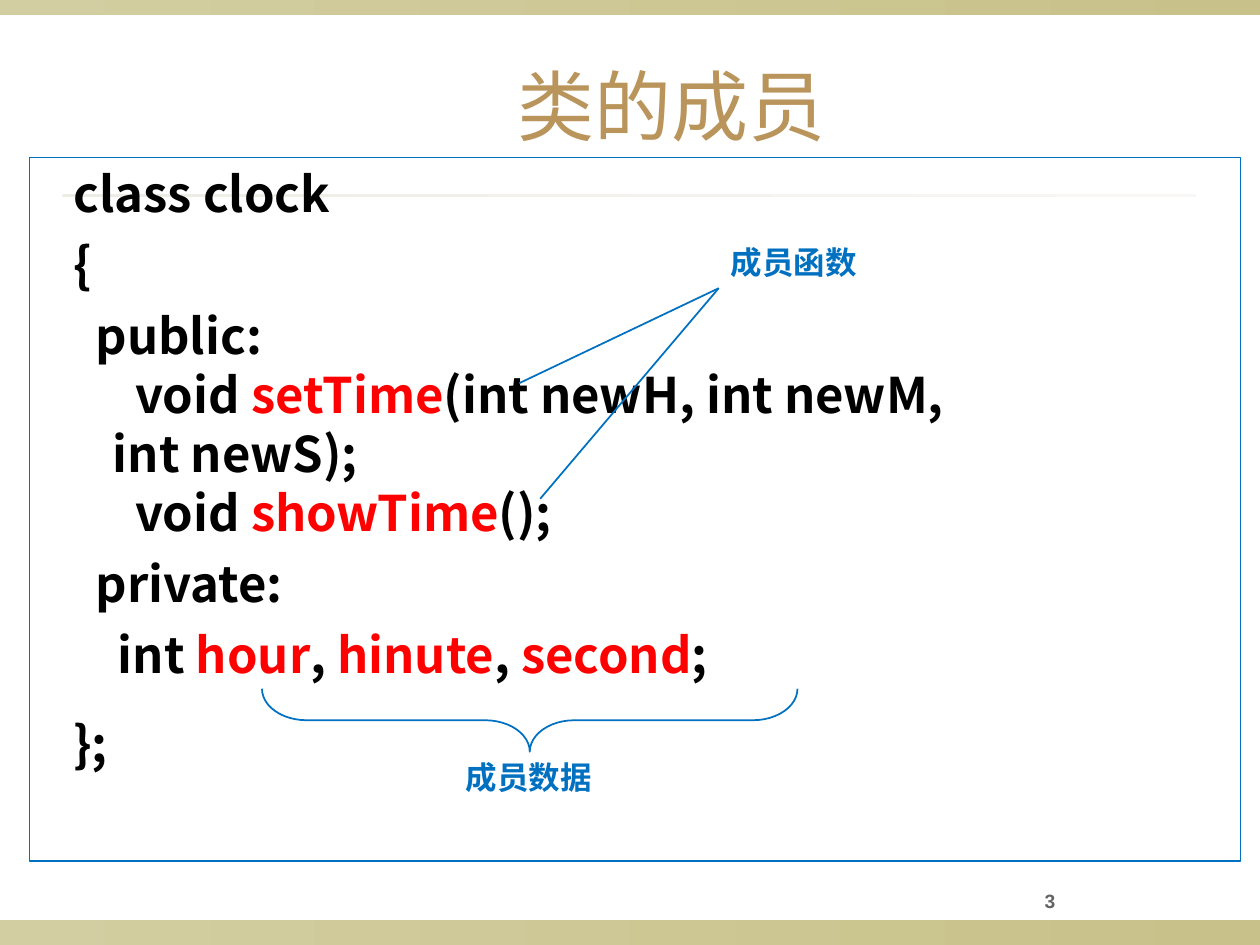
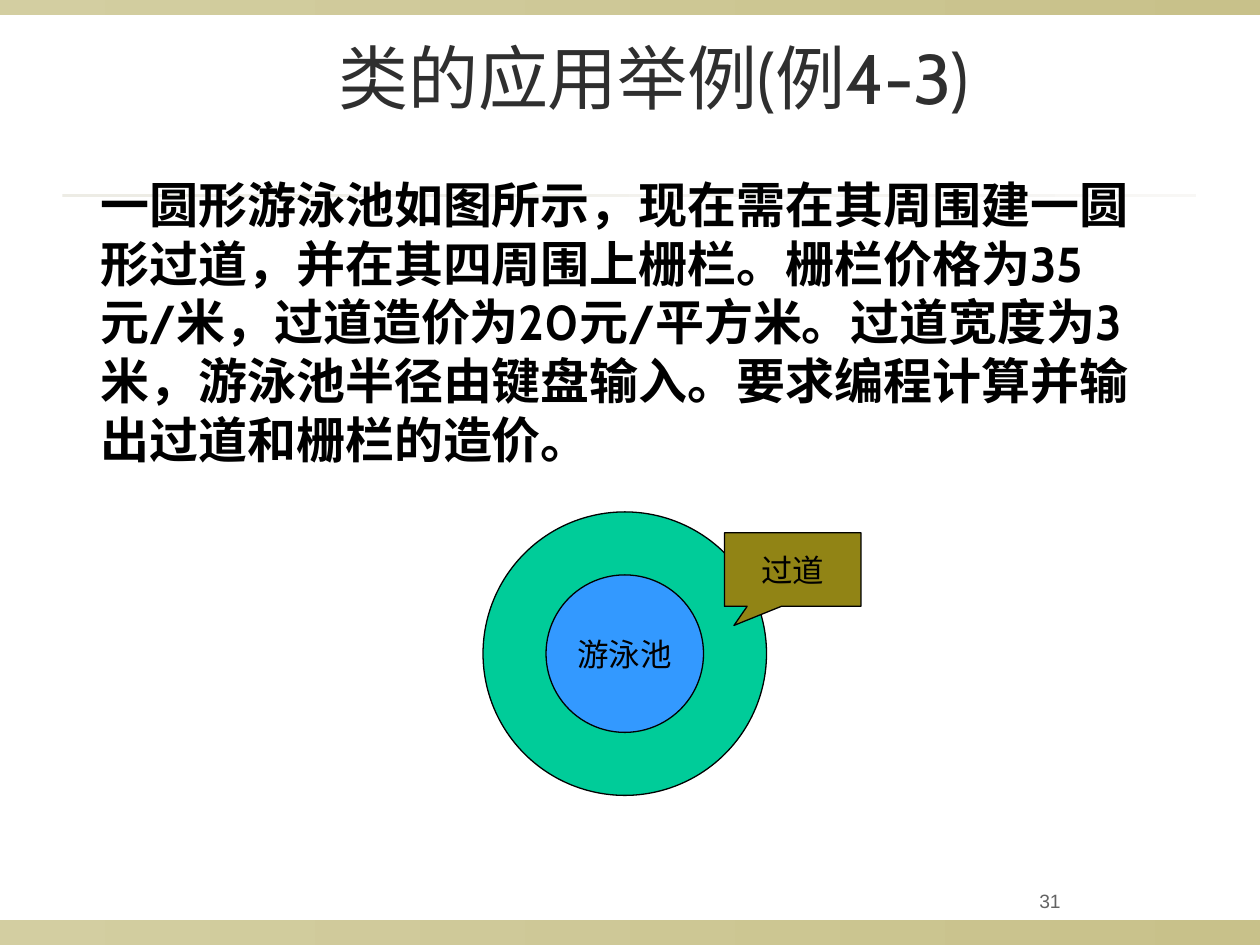
import lxml.etree
import pptx
import pptx.dml.color
import pptx.enum.shapes
import pptx.enum.text
import pptx.oxml.ns
import pptx.util

Pt = pptx.util.Pt
SHAPE = pptx.enum.shapes.MSO_SHAPE
MID, TOP = pptx.enum.text.MSO_ANCHOR.MIDDLE, pptx.enum.text.MSO_ANCHOR.TOP
LEFT, MIDST = pptx.enum.text.PP_ALIGN.LEFT, pptx.enum.text.PP_ALIGN.CENTER
HEX = {"tan": "B9945B", "dark": "2F2F2F", "grey": "636363", "black": "000000",
       "red": "FF0000", "blue": "0070C0", "pool": "3399FF", "path": "00CC99",
       "olive": "918415", "band1": "D3CEA1", "band2": "C8C18A",
       "rule1": "EDECE5", "rule2": "F8F7F5"}
RGB = {name: pptx.dml.color.RGBColor.from_string(code) for name, code in HEX.items()}
HAN = "Noto Sans CJK SC"

deck = pptx.Presentation()
deck.slide_width, deck.slide_height = pptx.util.Inches(10), pptx.util.Inches(7.5)
COL, ROW = deck.slide_width / 120, deck.slide_height / 90


def area(x, y, wide, high):
    """Turn grid columns and rows into slide lengths."""
    return [round(n * unit) for n, unit in zip((x, y, wide, high), (COL, ROW) * 2)]


def write(shape, paras, size, face, hue, bold=False, align=MIDST, anchor=MID,
          wrap=True, mark="red"):
    """Fill a shape with paragraphs; parts between bars take the mark colour."""
    frame = shape.text_frame
    look = {"word_wrap": wrap, "vertical_anchor": anchor,
            "auto_size": pptx.enum.text.MSO_AUTO_SIZE.NONE}
    for key, value in look.items():
        setattr(frame, key, value)
    for i, text in enumerate(paras):
        para = frame.paragraphs[0] if i == 0 else frame.add_paragraph()
        para.alignment = align
        for j, part in enumerate(text.split("|")):
            for k, piece in enumerate(part.split("\n")):
                if k:
                    para.add_line_break()
                run = para.add_run()
                run.text = piece
                form = {"size": Pt(size), "name": face, "bold": bold}
                for key, value in form.items():
                    setattr(run.font, key, value)
                run.font.color.rgb = RGB[mark if j % 2 else hue]
                lxml.etree.SubElement(run.font._element, pptx.oxml.ns.qn("a:ea"),
                                      typeface=HAN)
    return frame


# Bands, title and page number of both slides
bands = [((0, 87.6, 120, 2.4), "band"), ((0, 0, 120, 1.4), "band"),
         ((5.95, 18.5, 108, 0.25), "rule")]
heads = [("类的成员", (17, 3, 94, 14), 44, "tan", "3", True),
         ("类的应用举例(例4-3)", (11.25, 2.75, 102, 9), 40, "dark", "31", False)]
pages = []
for title, spot, size, hue, num, bold in heads:
    page = deck.slides.add_slide(deck.slide_layouts[5])
    pages.append(page)
    for place, tone in bands:
        band = page.shapes.add_shape(SHAPE.RECTANGLE, *area(*place))
        band.shadow.inherit = False
        band.line.fill.background()
        band.fill.gradient()
        band.fill.gradient_angle = 0
        for n, stop in enumerate(band.fill.gradient_stops, 1):
            stop.color.rgb = RGB[f"{tone}{n}"]
            stop.position = n - 1
    head = page.shapes.title
    head.left, head.top, head.width, head.height = area(*spot)
    write(head, [title], size, "Cabin", hue)
    foot = page.shapes.add_textbox(*area(86, 83.4, 28, 4.8))
    write(foot, [num], 11, "Arial", "grey", bold)

# Members of the class
first, second = pages
code = ["class clock", "{",
        "  public: \n  void |setTime|(int newH, int newM,\nint newS);\n  void |showTime|();",
        "  private:", "    int |hour|,| hinute|,| second|;", "};"]
panel = first.shapes.add_shape(SHAPE.RECTANGLE, *area(2.82, 15, 115.3, 67))
brace = first.shapes.add_shape(SHAPE.RIGHT_BRACE, *area(47.45, 43.1, 6, 51))
brace.rotation = 90
brace.adjustments[0] = 0.71
for shape, width in ((panel, 0.75), (brace, 1)):
    shape.shadow.inherit = False
    shape.fill.background()
    shape.line.color.rgb = RGB["blue"]
    shape.line.width = Pt(width)
frame = write(panel, code, 28, HAN, "black", True, LEFT, TOP)
for n, para in enumerate(frame.paragraphs):
    para._p.get_or_add_pPr().set("marL", str(round(6.75 * COL)))
    para._p.get_or_add_pPr().set("indent", str(round(-3.75 * COL)))
    if n:
        para.space_before = Pt(17.5 if n == len(code) - 1 else 7)

for label, spot, align in (("成员数据", (39.85, 71.6, 21, 4.8), MIDST),
                           ("成员函数", (68.4, 22.6, 21, 4.8), LEFT)):
    note = first.shapes.add_textbox(*area(*spot))
    write(note, [label], 18, "Times New Roman", "blue", True, align, TOP)
for x, y in ((51.45, 47.5), (49.45, 36.5)):
    line = first.shapes.add_connector(pptx.enum.shapes.MSO_CONNECTOR.STRAIGHT,
                                      *area(x, y, 68.45, 27.45))
    line.line.color.rgb = RGB["blue"]
    line.line.width = Pt(1)
    lxml.etree.SubElement(line._element.spPr, pptx.oxml.ns.qn("a:effectLst"))

# Pool and the path around it
task = ("一圆形游泳池如图所示，现在需在其周围建一圆形过道，并在其四周围上栅栏。"
        "栅栏价格为35元/米，过道造价为20元/平方米。过道宽度为3米，"
        "游泳池半径由键盘输入。要求编程计算并输出过道和栅栏的造价。")
body = second.shapes.add_textbox(*area(8.4, 16, 102, 32))
write(body, [task], 28, "Cabin", "black", True, LEFT, TOP)
parts = [(SHAPE.OVAL, (46, 48.75, 27, 27), "path", ""),
         (SHAPE.OVAL, (52, 54.75, 15, 15), "pool", "游泳池"),
         (SHAPE.RECTANGULAR_CALLOUT, (69, 50.75, 13, 7), "olive", "过道")]
for kind, spot, hue, label in parts:
    part = second.shapes.add_shape(kind, *area(*spot))
    part.shadow.inherit = False
    part.fill.solid()
    part.fill.fore_color.rgb = RGB[hue]
    part.line.color.rgb = RGB["black"]
    part.line.width = Pt(0.75)
    if label:
        write(part, [label], 18, "Times New Roman", "black", wrap=False)
part.adjustments[0], part.adjustments[1] = -0.43, 0.76

deck.save("out.pptx")
